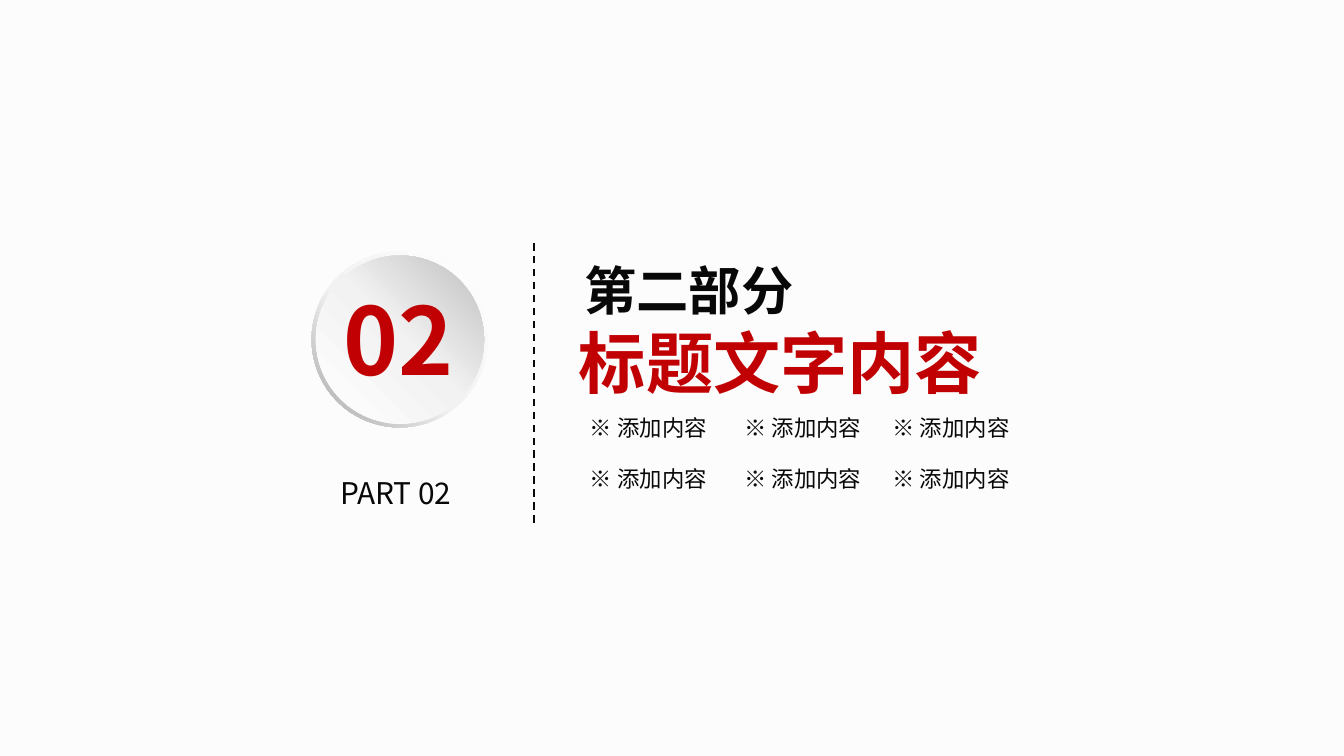
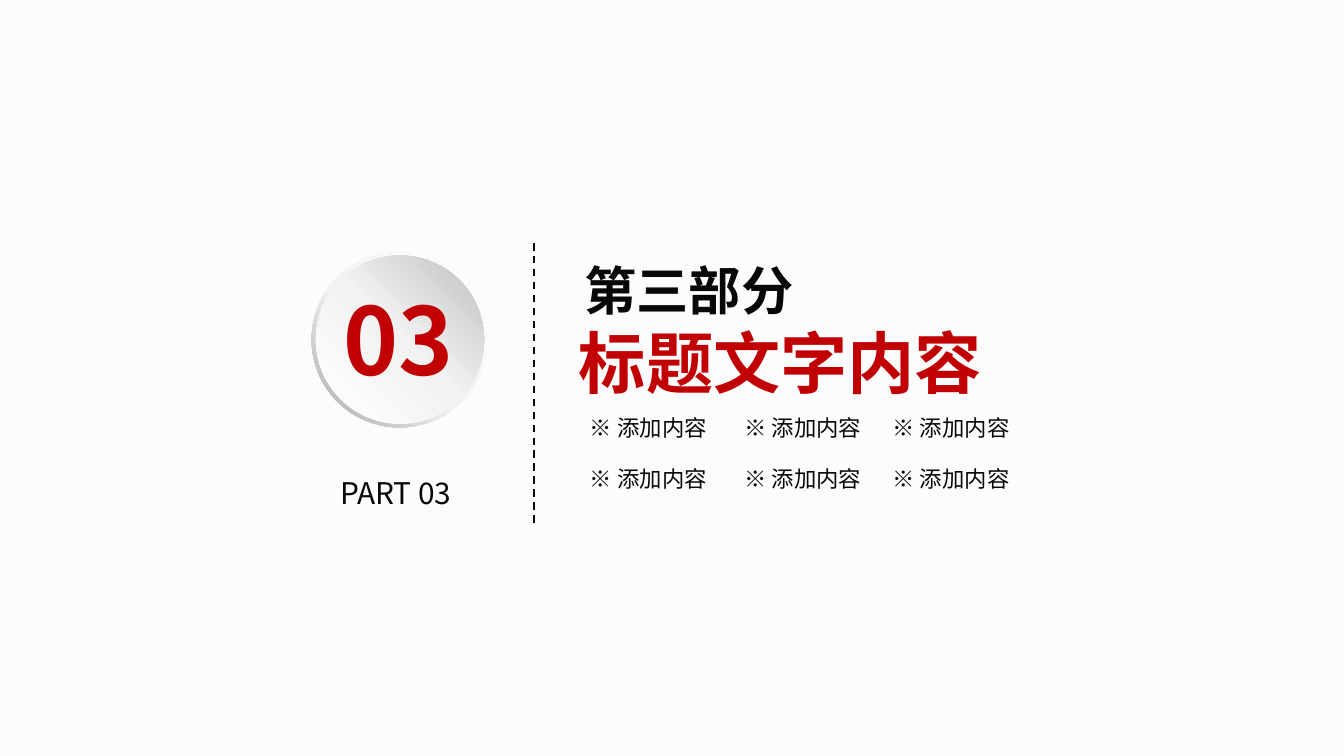
from dataclasses import dataclass

from lxml.etree import SubElement
from pptx import Presentation
from pptx.dml.color import RGBColor
from pptx.enum.dml import MSO_LINE
from pptx.enum.shapes import MSO_CONNECTOR, MSO_SHAPE
from pptx.enum.text import MSO_AUTO_SIZE, PP_ALIGN
from pptx.oxml.ns import qn
from pptx.slide import Slide
from pptx.util import Cm, Length, Pt


@dataclass(frozen=True)
class Theme:
    font: str = "Noto Sans CJK SC"
    back: str = "FCFCFC"
    ink: str = "080808"
    red: str = "C00002"
    white: str = "FFFFFF"
    pale: str = "F2F2F2"
    mid: str = "BFBFBF"
    dark: str = "A6A6A6"
    item: int = 12
    label: int = 16
    head: int = 28
    title: int = 36
    digit: int = 50


@dataclass(frozen=True)
class Line:
    text: str
    size: int
    color: str
    bold: bool = False
    align: PP_ALIGN = PP_ALIGN.LEFT
    indent: Length = Cm(0)


@dataclass(frozen=True)
class Box:
    left: Length
    top: Length
    width: Length
    height: Length
    pad_x: Length = Cm(0)
    pad_y: Length = Cm(0)
    wrap: bool = True


@dataclass(frozen=True)
class Disc:
    kind: MSO_SHAPE
    left: Length
    top: Length
    size: Length
    stops: tuple[tuple[int, str], ...]
    angle: int


@dataclass(frozen=True)
class Chapter:
    number: str
    name: str


THEME = Theme()
CHAPTERS = (Chapter("02", "第二部分"), Chapter("03", "第三部分"))
HEAD = Box(Cm(10.69), Cm(4.75), Cm(8.2), Cm(3), Cm(0.25), Cm(0.13), False)
LABEL = Box(Cm(6.43), Cm(8.97), Cm(2.51), Cm(0.69))
DIGIT = Box(Cm(6.5), Cm(5.33), Cm(2.51), Cm(2.13))
ITEM_XS = (Cm(10.97), Cm(13.89), Cm(16.69))
ITEM_YS = (Cm(7.75), Cm(8.71))
DISCS = (
    Disc(MSO_SHAPE.DONUT, Cm(5.89), Cm(4.75), Cm(3.33),
         ((0, THEME.white), (55, THEME.pale), (100, THEME.dark)), 225),
    Disc(MSO_SHAPE.OVAL, Cm(5.97), Cm(4.83), Cm(3.18),
         ((0, THEME.white), (51, THEME.pale), (100, THEME.mid)), 45),
)


def add_text(slide: Slide, box: Box, *lines: Line) -> None:
    shape = slide.shapes.add_textbox(box.left, box.top, box.width, box.height)
    frame = shape.text_frame
    frame.word_wrap = box.wrap
    frame.auto_size = MSO_AUTO_SIZE.SHAPE_TO_FIT_TEXT
    frame.margin_left = frame.margin_right = box.pad_x
    frame.margin_top = frame.margin_bottom = box.pad_y
    frame.text = "\n".join(line.text for line in lines)
    for para, line in zip(frame.paragraphs, lines):
        para.alignment = line.align
        if line.indent:
            para._p.get_or_add_pPr().set("marL", str(line.indent))
        for run in para.runs:
            font = run.font
            font.name, font.size, font.bold = THEME.font, Pt(line.size), line.bold
            font.color.rgb = RGBColor.from_string(line.color)
            east = SubElement(run._r.get_or_add_rPr(), qn("a:ea"))
            east.set("typeface", THEME.font)


def add_disc(slide: Slide, disc: Disc) -> None:
    shape = slide.shapes.add_shape(disc.kind, disc.left, disc.top, disc.size, disc.size)
    shape.shadow.inherit = False
    shape.line.fill.background()
    if disc.kind == MSO_SHAPE.DONUT:
        shape.adjustments[0] = 0.05
    shape.fill.gradient()
    shape.fill.gradient_angle = disc.angle
    stops = shape._element.spPr.find(f".//{qn('a:gsLst')}")
    for stop in list(stops):
        stops.remove(stop)
    for place, color in disc.stops:
        stop = SubElement(stops, qn("a:gs"), pos=str(place * 1000))
        SubElement(stop, qn("a:srgbClr"), val=color)


def add_rule(slide: Slide) -> None:
    rule = slide.shapes.add_connector(
        MSO_CONNECTOR.STRAIGHT, Cm(10.1), Cm(9.88), Cm(10.1), Cm(4.55))
    rule.line.color.rgb = RGBColor.from_string(THEME.ink)
    rule.line.width = Pt(1)
    rule.line.dash_style = MSO_LINE.DASH
    SubElement(rule._element.spPr, qn("a:effectLst"))


def add_chapter(slide: Slide, chapter: Chapter) -> None:
    fill = slide.background.fill
    fill.solid()
    fill.fore_color.rgb = RGBColor.from_string(THEME.back)
    add_text(
        slide, HEAD,
        Line(chapter.name, THEME.head, THEME.ink, True, indent=Cm(0.11)),
        Line("标题文字内容", THEME.title, THEME.red, True, PP_ALIGN.CENTER))
    add_rule(slide)
    add_text(slide, LABEL, Line(f"PART {chapter.number}", THEME.label, THEME.ink))
    for disc in DISCS:
        add_disc(slide, disc)
    for top in ITEM_YS:
        for left in ITEM_XS:
            box = Box(left, top, Cm(2.8), Cm(0.69), Cm(0.18), Cm(0.08))
            add_text(slide, box, Line("※ 添加内容", THEME.item, THEME.ink))
    add_text(slide, DIGIT, Line(chapter.number, THEME.digit, THEME.red, True))


def main() -> None:
    deck = Presentation()
    deck.slide_width, deck.slide_height = Cm(25.4), Cm(14.29)
    for chapter in CHAPTERS:
        add_chapter(deck.slides.add_slide(deck.slide_layouts[6]), chapter)
    deck.save("out.pptx")


if __name__ == "__main__":
    main()
